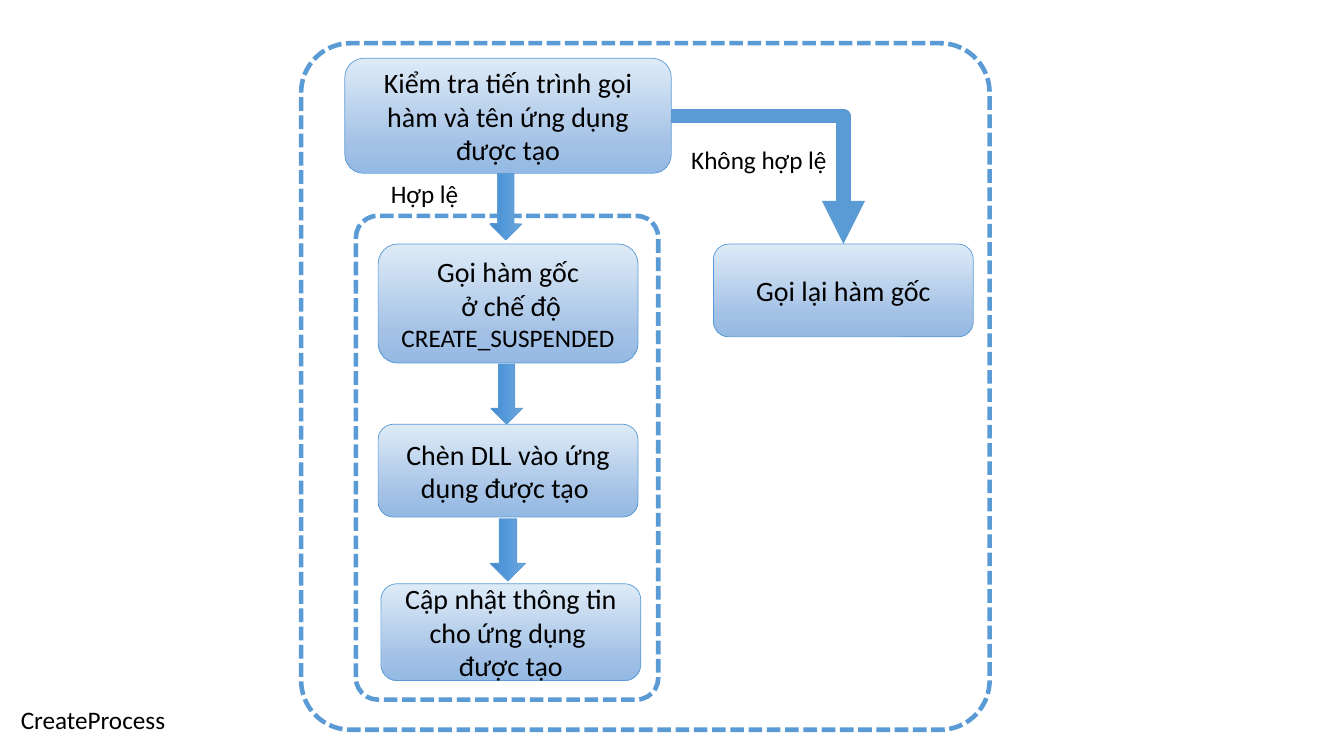
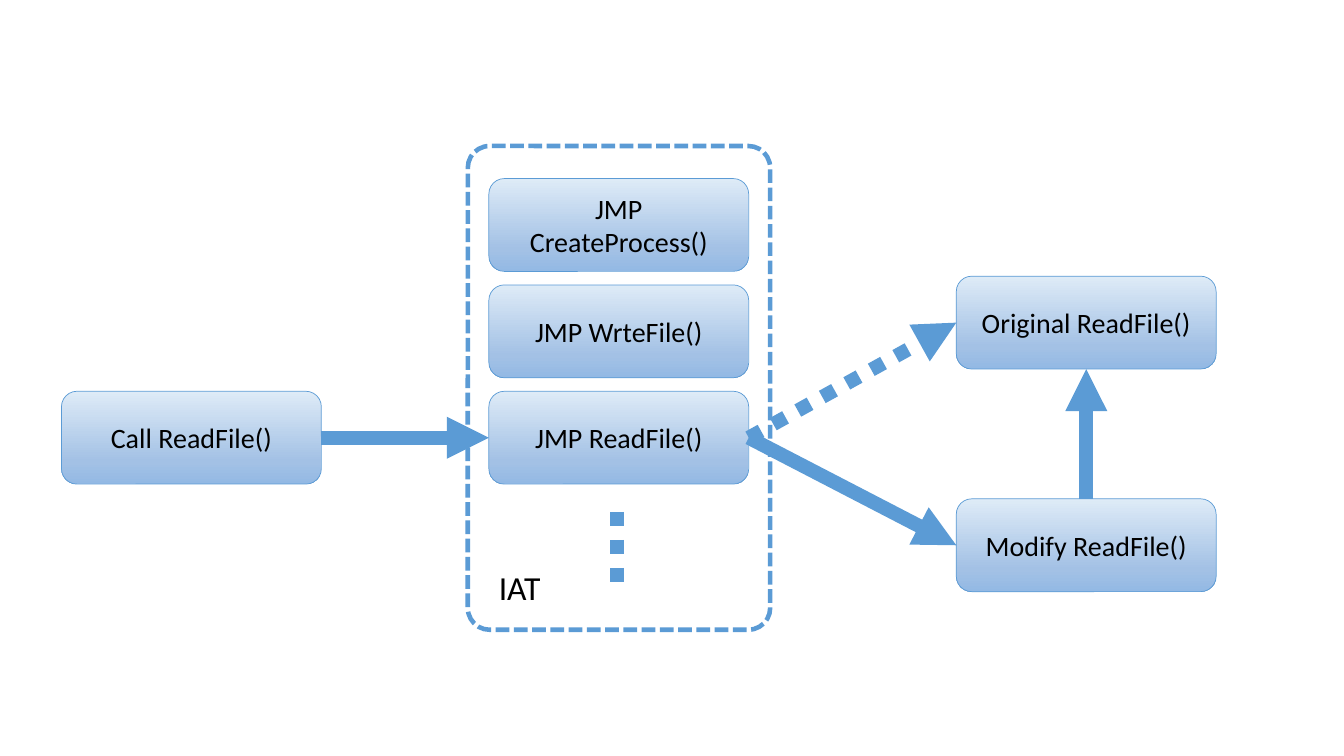
from copy import deepcopy
from dataclasses import dataclass

from pptx import Presentation
from pptx.dml.color import RGBColor
from pptx.enum.dml import MSO_LINE
from pptx.enum.shapes import MSO_CONNECTOR, MSO_SHAPE
from pptx.enum.text import MSO_ANCHOR, MSO_AUTO_SIZE, PP_ALIGN
from pptx.oxml.ns import qn
from pptx.util import Cm, Pt
from lxml.etree import SubElement

TOP, LEFT, BOTTOM, RIGHT = range(4)  # connection sites of a box
BOX_WIDTH, BOX_HEIGHT = 6.55, 2.34


@dataclass(frozen=True)
class Theme:
    """Colours, font and sizes shared by both slides."""
    font: str = "Calibri"
    ink: str = "000000"
    paper: str = "FFFFFF"
    accent: str = "5B9BD5"
    box_stops: tuple = ((0, "DEEBF7"), (0.76, "A3C1E5"), (1, "93B9E4"))
    arrow_stops: tuple = ((0, "71A6DB"), (0.5, "559BDB"), (1, "448ACA"))
    box_size: float = 20
    label_size: float = 18
    caption_size: float = 24
    outline: float = 0.5
    frame_line: float = 3.25
    flow_line: float = 10


class Diagram:
    """Draws flow-chart elements on the current slide."""

    def __init__(self, theme):
        """Open a widescreen presentation."""
        self.theme = theme
        self.deck = Presentation()
        self.deck.slide_width, self.deck.slide_height = Cm(33.87), Cm(19.05)
        self.slide = None

    def new_slide(self):
        """Start a blank slide."""
        self.slide = self.deck.slides.add_slide(self.deck.slide_layouts[6])

    def _stroke(self, line, width, dash=None):
        """Give a line the accent colour, a width and a dash."""
        line.color.rgb = RGBColor.from_string(self.theme.accent)
        line.width = Pt(width)
        if dash is not None:
            line.dash_style = dash

    def _shape(self, preset, left, top, width, height):
        """Add a preset shape without shadow."""
        shape = self.slide.shapes.add_shape(
            preset, Cm(left), Cm(top), Cm(width), Cm(height))
        shape.shadow.inherit = False
        return shape

    def _shade(self, shape, stops):
        """Fill a shape with a three-stop gradient from its top down."""
        shape.fill.gradient()
        shape.fill.gradient_angle = 270
        stop_list = next(shape._element.spPr.iter(qn("a:gsLst")))
        stop_list.append(deepcopy(stop_list[-1]))
        for stop, (position, color) in zip(shape.fill.gradient_stops, stops):
            stop.position = position
            stop.color.rgb = RGBColor.from_string(color)
        self._stroke(shape.line, self.theme.outline)

    def _write(self, text_frame, paragraphs, align):
        """Write paragraphs made of (text, size) runs."""
        for index, runs in enumerate(paragraphs):
            paragraph = (text_frame.add_paragraph() if index
                         else text_frame.paragraphs[0])
            paragraph.alignment = align
            for text, size in runs:
                run = paragraph.add_run()
                run.text = text
                run.font.name = self.theme.font
                run.font.size = Pt(size)
                run.font.color.rgb = RGBColor.from_string(self.theme.ink)

    def frame(self, left, top, width=7.62, height=12.19, filled=False):
        """Add a dashed rounded frame."""
        frame = self._shape(MSO_SHAPE.ROUNDED_RECTANGLE,
                            left, top, width, height)
        frame.adjustments[0] = 0.072
        if filled:
            frame.fill.solid()
            frame.fill.fore_color.rgb = RGBColor.from_string(self.theme.paper)
        else:
            frame.fill.background()
        self._stroke(frame.line, self.theme.frame_line, MSO_LINE.SQUARE_DOT)

    def box(self, left, top, *paragraphs, width=BOX_WIDTH, height=BOX_HEIGHT):
        """Add a shaded step; a paragraph is a string or a list of runs."""
        box = self._shape(MSO_SHAPE.ROUNDED_RECTANGLE,
                          left, top, width, height)
        self._shade(box, self.theme.box_stops)
        box.text_frame.word_wrap = True
        box.text_frame.vertical_anchor = MSO_ANCHOR.MIDDLE
        runs = [[(part, self.theme.box_size)] if isinstance(part, str)
                else part for part in paragraphs]
        self._write(box.text_frame, runs, PP_ALIGN.CENTER)
        return box

    def down_arrow(self, center, top, bottom, thickness=0.81):
        """Add a block arrow turned to point down."""
        length = bottom - top
        arrow = self._shape(MSO_SHAPE.RIGHT_ARROW, center - length / 2,
                            (top + bottom - thickness) / 2, length, thickness)
        arrow.rotation = 90
        self._shade(arrow, self.theme.arrow_stops)

    def label(self, left, top, width, text, height=1.02, size=None,
              align=PP_ALIGN.LEFT):
        """Add a one-line text box."""
        label = self.slide.shapes.add_textbox(
            Cm(left), Cm(top), Cm(width), Cm(height))
        label.text_frame.word_wrap = False
        label.text_frame.auto_size = MSO_AUTO_SIZE.SHAPE_TO_FIT_TEXT
        self._write(label.text_frame,
                    [[(text, size or self.theme.label_size)]], align)

    def line(self, start, end, kind=MSO_CONNECTOR.STRAIGHT, dash=None,
             width=None):
        """Add a thick connector between two (x, y) points in cm."""
        line = self.slide.shapes.add_connector(
            kind, *(Cm(value) for value in (*start, *end)))
        self._stroke(line.line, width or self.theme.flow_line, dash)
        SubElement(line._element.spPr, qn("a:effectLst"))
        return line

    def link(self, source, source_site, target, target_site, **style):
        """Connect two boxes with an arrow."""
        arrow = self.line((0, 0), (0, 0), **style)
        arrow.begin_connect(source, source_site)
        arrow.end_connect(target, target_site)
        SubElement(arrow.line._get_or_add_ln(), qn("a:tailEnd"),
                   type="triangle")
        return arrow


def build_process_check(diagram):
    """Slide 1: flow of the CreateProcess hook."""
    theme = diagram.theme
    diagram.new_slide()
    diagram.frame(8.97, 5.44, filled=True)
    diagram.frame(7.59, 1.09, 17.35, 17.3)
    check = diagram.box(8.69, 1.47,
                        "Kiểm tra tiến trình gọi hàm và tên ứng dụng được tạo",
                        width=8.23, height=2.9)
    diagram.box(9.53, 6.15, "Gọi hàm gốc",
                [(" ở chế độ ", theme.box_size),
                 ("CREATE_SUSPENDED", theme.label_size)], height=3)
    diagram.box(9.53, 10.69, "Chèn DLL vào ứng dụng được tạo ")
    diagram.box(9.6, 14.71, "Cập nhật thông tin cho ứng dụng ", "được tạo",
                height=2.44)
    diagram.down_arrow(12.75, 4.37, 6.05)
    diagram.down_arrow(12.77, 9.17, 10.69)
    diagram.down_arrow(12.8, 13.07, 14.64, thickness=0.89)
    diagram.label(0.25, 17.63, 4.19, "CreateProcess", align=PP_ALIGN.CENTER)
    call_again = diagram.box(17.98, 6.15, "Gọi lại hàm gốc")
    invalid = diagram.link(check, RIGHT, call_again, TOP,
                           kind=MSO_CONNECTOR.ELBOW, width=10.25)
    invalid._element.spPr.find(qn("a:prstGeom")).set("prst", "bentConnector2")
    diagram.label(9.6, 4.37, 2.24, "Hợp lệ")
    diagram.label(17.17, 3.51, 3.96, "Không hợp lệ")


def build_import_table(diagram):
    """Slide 2: a ReadFile call redirected through the IAT."""
    diagram.new_slide()
    table_left, first_row, row_step = 12.32, 4.5, 2.68
    call = diagram.box(1.55, first_row + 2 * row_step, "Call ReadFile()")
    jumps = [diagram.box(table_left, first_row + row * row_step,
                         f"JMP {function}()")
             for row, function in enumerate(
                 ("CreateProcess", "WrteFile", "ReadFile"))]
    original = diagram.box(24.1, 6.96, "Original ReadFile()")
    modified = diagram.box(24.1, 12.57, "Modify ReadFile()")
    diagram.frame(11.79, 3.68)
    read_jump = jumps[-1]
    diagram.link(read_jump, RIGHT, original, LEFT, dash=MSO_LINE.ROUND_DOT)
    diagram.link(read_jump, RIGHT, modified, LEFT)
    diagram.link(modified, TOP, original, BOTTOM)
    diagram.link(call, RIGHT, read_jump, LEFT)
    diagram.line((15.56, 12.9), (15.56, 14.91), dash=MSO_LINE.ROUND_DOT)
    diagram.label(table_left, 14.15, 1.57, "IAT", height=1.27,
                  size=diagram.theme.caption_size)


def main():
    """Build both slides and save them."""
    diagram = Diagram(Theme())
    build_process_check(diagram)
    build_import_table(diagram)
    diagram.deck.save("out.pptx")


main()
